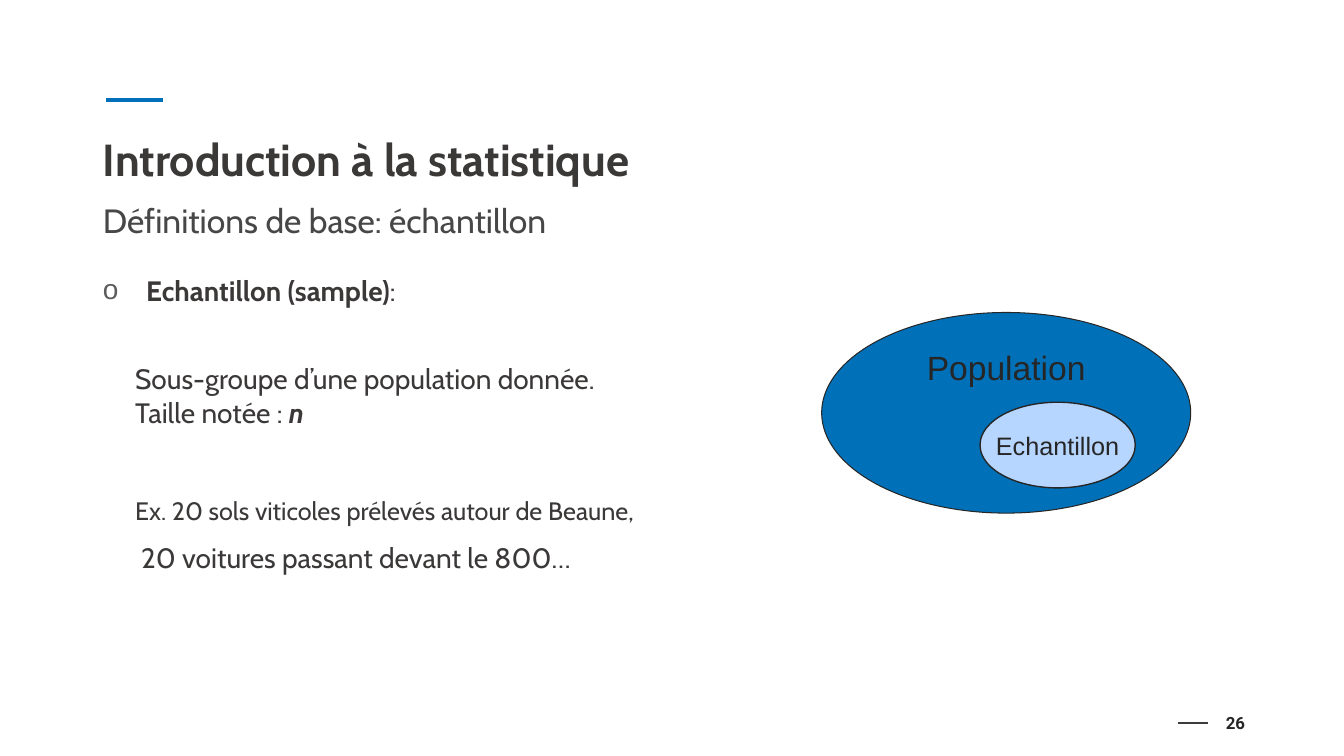
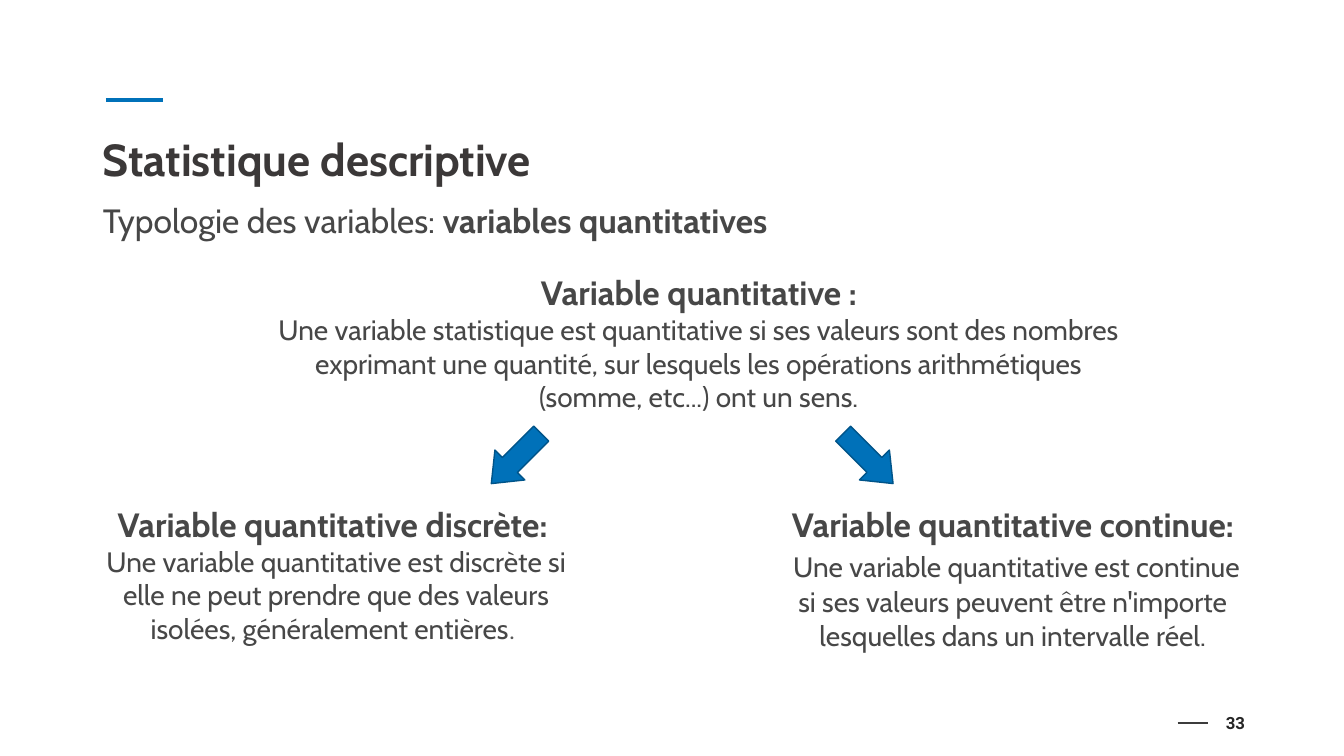
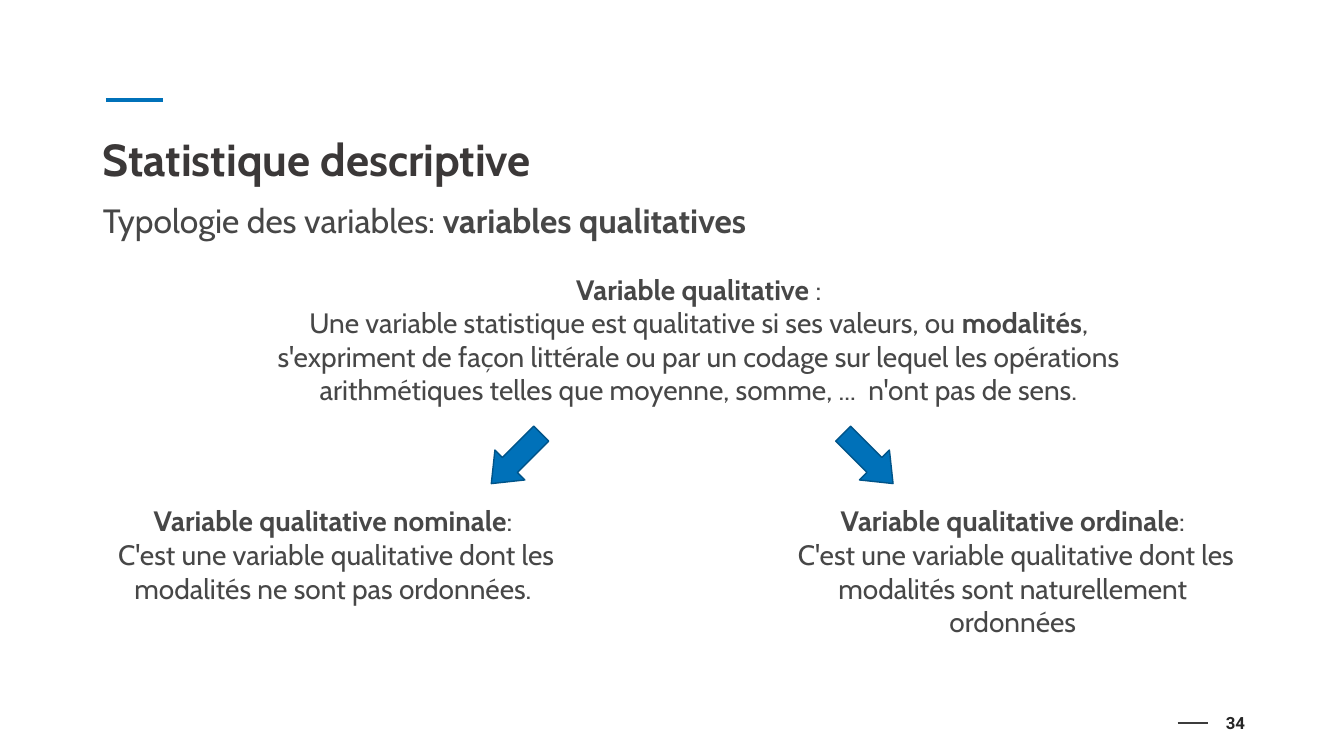
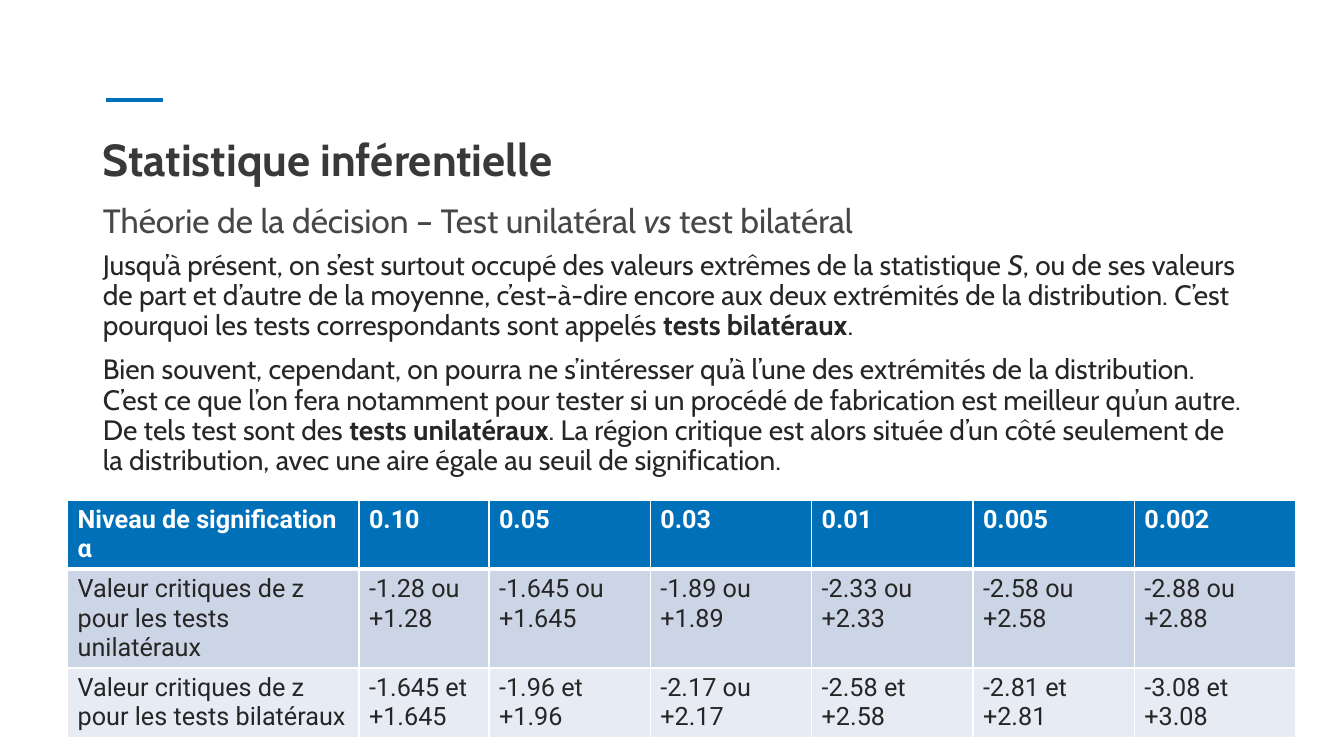
"""Builds four slides of a statistics course."""
from dataclasses import dataclass
from functools import partial

from lxml import etree
from pptx import Presentation
from pptx.dml.color import RGBColor
from pptx.enum.shapes import MSO_CONNECTOR, MSO_SHAPE
from pptx.enum.text import MSO_ANCHOR, MSO_AUTO_SIZE, PP_ALIGN
from pptx.oxml.ns import qn
from pptx.util import Pt

STRAIGHT = MSO_CONNECTOR.STRAIGHT
OVAL, RIGHT_ARROW = MSO_SHAPE.OVAL, MSO_SHAPE.RIGHT_ARROW
TOP, MIDDLE = MSO_ANCHOR.TOP, MSO_ANCHOR.MIDDLE
FIXED, GROW = MSO_AUTO_SIZE.NONE, MSO_AUTO_SIZE.SHAPE_TO_FIT_TEXT
LEFT, CENTER = PP_ALIGN.LEFT, PP_ALIGN.CENTER

EMU_PER_PX = 9144
SLIDE_SIZE = (1333, 750)
TITLE_LAYOUT, BODY_LAYOUT = 1, 3
COLORS = {
    "blue": "0071B9",
    "dark_blue": "005489",
    "light_blue": "B6D5FF",
    "title": "3B3838",
    "grey": "474747",
    "soft_grey": "595959",
    "bullet": "5C5C5C",
    "rule": "3C3C3C",
    "ink": "262626",
    "white": "FFFFFF",
    "band_dark": "CCD5E6",
    "band_light": "E7EBF3",
}


@dataclass(frozen=True)
class Box:
    """A rectangle in px."""
    left: int
    top: int
    width: int
    height: int

    def emu(self) -> tuple[int, ...]:
        """Return the rectangle in EMU."""
        return tuple(px(n) for n in (self.left, self.top, self.width, self.height))


@dataclass(frozen=True)
class Span:
    """A stretch of text in one format."""
    text: str
    size: int = 20
    bold: bool = False
    italic: bool = False
    color: str = "grey"
    font: str = "Cabin"


@dataclass(frozen=True)
class Para:
    """A paragraph of spans; spacing in points, indents in px."""
    spans: tuple[Span, ...]
    before: int = 0
    left: int = 0
    hanging: int = 0
    line_spacing: float = 1.0
    bullet: str = ""


@dataclass(frozen=True)
class Rule:
    """A horizontal line shared by all slides."""
    left: int
    right: int
    y: int
    color: str
    weight: float


@dataclass(frozen=True)
class Oval:
    """A labelled ellipse of the sampling diagram."""
    box: Box
    fill: str
    weight: float
    label: Span
    anchor: MSO_ANCHOR
    wrap: bool


@dataclass(frozen=True)
class Typology:
    """A variable kind and its two sub-kinds."""
    number: int
    subtitle: str
    blocks: tuple[tuple[Para, ...], ...]


Title = partial(Span, size=32, bold=True, color="title")
Subtitle = partial(Span, size=24)
Dark = partial(Span, color="title")
Ink = partial(Span, color="ink")

TITLE_BOX = Box(92, 88, 1150, 145)
SUBTITLE_BOX = Box(92, 203, 1150, 30)
NUMBER_BOX = Box(1206, 697, 59, 40)
RULES = (
    Rule(1168, 1198, 717, "rule", 1.25),
    Rule(105, 162, 99, "blue", 2.75),
)
OVALS = (
    Oval(Box(815, 310, 366, 199), "blue", 0.75,
         Span("Population", 24, color="ink", font="Arial"), TOP, True),
    Oval(Box(972, 399, 154, 85), "light_blue", 1,
         Span("Echantillon", 18, color="ink", font="Arial"), MIDDLE, False),
)
SAMPLE_BOX = Box(92, 266, 1124, 397)
SAMPLE_PARAS = (
    Para((Dark("Echantillon (sample)", bold=True), Dark(":")), left=43, hanging=43, bullet="o"),
    Para((Dark("Sous-groupe d’une population donnée."),), before=39, left=32),
    Para((Dark("Taille notée : "), Dark("n", bold=True, italic=True)), left=32),
    Para((Dark("Ex. 20 sols viticoles prélevés autour de Beaune,", 18),), before=48, left=32),
    Para((Dark("20 voitures passant devant le 800…"),), before=10, left=38),
)
BLOCK_BOXES = (Box(255, 265, 876, 151), Box(92, 495, 483, 151), Box(767, 495, 475, 158))
ARROWS = ((826, 45), (477, 135))
TYPOLOGIES = (
    Typology(33, "variables quantitatives", (
        (
            Para((Span("Variable quantitative :", 24, True),)),
            Para((Span("Une variable statistique est quantitative si ses valeurs sont des nombres "
                       "exprimant une quantité, sur lesquels les opérations arithmétiques "
                       "(somme, etc...) ont un sens."),)),
        ),
        (
            Para((Span("Variable quantitative discrète: ", 24, True),)),
            Para((Span("Une variable quantitative est discrète si elle ne peut prendre que des "
                       "valeurs isolées, généralement entières"),
                  Span(". ", 18, color="soft_grey", font="Roboto"))),
        ),
        (
            Para((Span("Variable quantitative continue:", 24, True),)),
            Para((Span(" ", 24),
                  Span("Une variable quantitative est continue si ses valeurs peuvent être "
                       "n'importe lesquelles dans un intervalle réel."))),
        ),
    )),
    Typology(34, "variables qualitatives", (
        (
            Para((Span("Variable qualitative ", bold=True), Span(":"))),
            Para((Span("Une variable statistique est qualitative si ses valeurs, ou "),
                  Span("modalités", bold=True),
                  Span(", s'expriment de façon littérale ou par un codage sur lequel les "
                       "opérations arithmétiques telles que moyenne, somme, ...  n'ont pas "
                       "de sens."))),
        ),
        (
            Para((Span("Variable qualitative nominale", bold=True), Span(": "))),
            Para((Span("C'est une variable qualitative dont les modalités ne sont pas "
                       "ordonnées. "),)),
        ),
        (
            Para((Span("Variable qualitative ordinale", bold=True), Span(":"))),
            Para((Span(" C'est une variable qualitative dont les modalités sont naturellement "
                       "ordonnées"),)),
        ),
    )),
)
TESTS_BOX = Box(92, 244, 1150, 252)
TESTS_PARAS = (
    Para((Ink("Jusqu’à présent, on s’est surtout occupé des valeurs extrêmes de la statistique "),
          Ink("S", italic=True),
          Ink(", ou de ses valeurs de part et d’autre de la moyenne, c’est-à-dire encore aux "
              "deux extrémités de la distribution. C’est pourquoi les tests correspondants "
              "sont appelés "),
          Ink("tests bilatéraux", bold=True),
          Ink(".")), line_spacing=0.9),
    Para((Ink("Bien souvent, cependant, on pourra ne s’intéresser qu’à l’une des extrémités de "
              "la distribution. C’est ce que l’on fera notamment pour tester si un procédé de "
              "fabrication est meilleur qu’un autre. De tels test sont des "),
          Ink("tests unilatéraux", bold=True),
          Ink(". La région critique est alors située d’un côté seulement de la distribution, "
              "avec une aire égale au seuil de signification.")), before=10, line_spacing=0.9),
)
TABLE_BOX = Box(67, 496, 1218, 233)
COLUMN_WIDTHS = (289, 129) + (160,) * 5
ROW_HEIGHTS = (68, 97, 68)
ROW_FILLS = ("blue", "band_dark", "band_light")
TABLE_ROWS = (
    ("Niveau de signification α", "0.10", "0.05", "0.03", "0.01", "0.005", "0.002"),
    ("Valeur critiques de z pour les tests unilatéraux", "-1.28 ou\n+1.28", "-1.645 ou +1.645",
     "-1.89 ou +1.89", "-2.33 ou\n+2.33", "-2.58 ou\n+2.58", "-2.88 ou\n+2.88"),
    ("Valeur critiques de z pour les tests bilatéraux", "-1.645 et +1.645", "-1.96 et\n+1.96",
     "-2.17 ou +2.17", "-2.58 et\n+2.58", "-2.81 et\n+2.81", "-3.08 et\n+3.08"),
)


def px(length: int) -> int:
    """Turn px into EMU."""
    return length * EMU_PER_PX


def rgb(name: str) -> RGBColor:
    """Look up a named colour."""
    return RGBColor.from_string(COLORS[name])


def add_color(parent, tag: str, name: str):
    """Append an XML element that holds a named colour."""
    holder = etree.SubElement(parent, qn(tag))
    etree.SubElement(holder, qn("a:srgbClr")).set("val", COLORS[name])
    return holder


def format_font(font, span: Span) -> None:
    """Give a font the look of a span."""
    font.name, font.size = span.font, Pt(span.size)
    font.bold, font.italic = span.bold, span.italic
    font.color.rgb = rgb(span.color)


def set_bullet(para, item: Para) -> None:
    """Set the indents and the bullet of a paragraph."""
    properties = para._p.get_or_add_pPr()
    properties.set("marL", str(px(item.left)))
    properties.set("indent", str(px(-item.hanging)))
    if item.bullet:
        add_color(properties, "a:buClr", "bullet")
        etree.SubElement(properties, qn("a:buChar")).set("char", item.bullet)
    else:
        etree.SubElement(properties, qn("a:buNone"))


def write(frame, items: tuple[Para, ...], align=LEFT, anchor=TOP, size=FIXED, wrap=True) -> None:
    """Fill a text frame with formatted paragraphs."""
    frame.word_wrap, frame.auto_size, frame.vertical_anchor = wrap, size, anchor
    for index, item in enumerate(items):
        para = frame.add_paragraph() if index else frame.paragraphs[0]
        set_bullet(para, item)
        para.alignment = align
        para.line_spacing, para.space_before = item.line_spacing, Pt(item.before)
        for span in item.spans:
            run = para.add_run()
            run.text = span.text
            format_font(run.font, span)


def fill_placeholder(page, index: int, box: Box, items: tuple[Para, ...], anchor=TOP) -> None:
    """Move a placeholder and write its text."""
    holder = page.placeholders[index]
    holder.left, holder.top, holder.width, holder.height = box.emu()
    write(holder.text_frame, items, anchor=anchor)


def add_page(deck, layout: int, title: str, subtitle: tuple[Span, ...], number: int):
    """Add a slide with its title, subtitle and number."""
    page = deck.slides.add_slide(deck.slide_layouts[layout])
    fill_placeholder(page, 0, TITLE_BOX, (Para((Title(title),), line_spacing=0.9),), MIDDLE)
    fill_placeholder(page, 1, SUBTITLE_BOX, (Para(subtitle),), MIDDLE)
    label = Span(str(number), 12, True, color="ink", font="Roboto")
    write(page.shapes.add_textbox(*NUMBER_BOX.emu()).text_frame, (Para((label,)),), anchor=MIDDLE)
    return page


def move_rules_to_master(deck, page) -> None:
    """Draw the shared lines and hand them to the slide master."""
    for number, rule in enumerate(RULES, start=101):
        line = page.shapes.add_connector(
            STRAIGHT, px(rule.left), px(rule.y), px(rule.right), px(rule.y))
        line.line.color.rgb, line.line.width = rgb(rule.color), Pt(rule.weight)
        etree.SubElement(line.element.spPr, qn("a:effectLst"))
        line.element.xpath("./p:nvCxnSpPr/p:cNvPr")[0].set("id", str(number))
        deck.slide_master.shapes.element.append(line.element)


def add_figure(shapes, kind, box: Box, fill: str, line: str, weight: float):
    """Add a filled and outlined preset shape."""
    figure = shapes.add_shape(kind, *box.emu())
    figure.shadow.inherit = False
    figure.fill.solid()
    figure.fill.fore_color.rgb = rgb(fill)
    figure.line.color.rgb, figure.line.width = rgb(line), Pt(weight)
    return figure


def add_sample_page(deck):
    """Add the slide that defines a sample."""
    page = add_page(deck, BODY_LAYOUT, "Introduction à la statistique",
                    (Subtitle("Définitions de base: échantillon"),), 26)
    fill_placeholder(page, 2, SAMPLE_BOX, SAMPLE_PARAS)
    diagram = page.shapes.add_group_shape()
    for oval in OVALS:
        figure = add_figure(diagram.shapes, OVAL, oval.box, oval.fill, "ink", oval.weight)
        write(figure.text_frame, (Para((oval.label,)),), CENTER, oval.anchor, wrap=oval.wrap)
    return page


def add_typology_page(deck, typology: Typology) -> None:
    """Add a slide that splits a variable kind in two."""
    subtitle = (Subtitle("Typologie des variables: "), Subtitle(typology.subtitle, bold=True))
    page = add_page(deck, TITLE_LAYOUT, "Statistique descriptive", subtitle, typology.number)
    for box, items in zip(BLOCK_BOXES, typology.blocks):
        write(page.shapes.add_textbox(*box.emu()).text_frame, items, CENTER, size=GROW)
    for left, angle in ARROWS:
        arrow = add_figure(page.shapes, RIGHT_ARROW, Box(left, 434, 70, 42),
                           "blue", "dark_blue", 1)
        arrow.rotation = angle
        arrow.adjustments[0], arrow.adjustments[1] = 0.5, 0.62


def format_cell(cell, fill: str, header: bool) -> None:
    """Give a table cell its borders, fill and font."""
    properties = cell._tc.get_or_add_tcPr()
    for side in "LRTB":
        weight = 3 if header and side == "B" else 1
        border = etree.SubElement(properties, qn(f"a:ln{side}"))
        border.set("w", str(Pt(weight)))
        add_color(border, "a:solidFill", "white")
    cell.fill.solid()
    cell.fill.fore_color.rgb = rgb(fill)
    look = Span("", 18, header, color="white" if header else "ink", font="Roboto")
    for para in cell.text_frame.paragraphs:
        for run in para.runs:
            format_font(run.font, look)


def add_tests_page(deck) -> None:
    """Add the slide on one-sided and two-sided tests."""
    subtitle = (Subtitle("Théorie de la décision – Test unilatéral "),
                Subtitle("vs", italic=True), Subtitle(" test bilatéral"))
    page = add_page(deck, BODY_LAYOUT, "Statistique inférentielle", subtitle, 0)
    fill_placeholder(page, 2, TESTS_BOX, TESTS_PARAS)
    table = page.shapes.add_table(len(TABLE_ROWS), len(COLUMN_WIDTHS), *TABLE_BOX.emu()).table
    table.horz_banding = False
    for column, width in zip(table.columns, COLUMN_WIDTHS):
        column.width = px(width)
    for index, (row, height) in enumerate(zip(table.rows, ROW_HEIGHTS)):
        row.height = px(height)
        for cell, text in zip(row.cells, TABLE_ROWS[index]):
            cell.text_frame.text = text
            format_cell(cell, ROW_FILLS[index], index == 0)


def main() -> None:
    """Build and save the deck."""
    deck = Presentation()
    deck.slide_width, deck.slide_height = (px(side) for side in SLIDE_SIZE)
    first = add_sample_page(deck)
    move_rules_to_master(deck, first)
    for typology in TYPOLOGIES:
        add_typology_page(deck, typology)
    add_tests_page(deck)
    deck.save("out.pptx")


if __name__ == "__main__":
    main()
